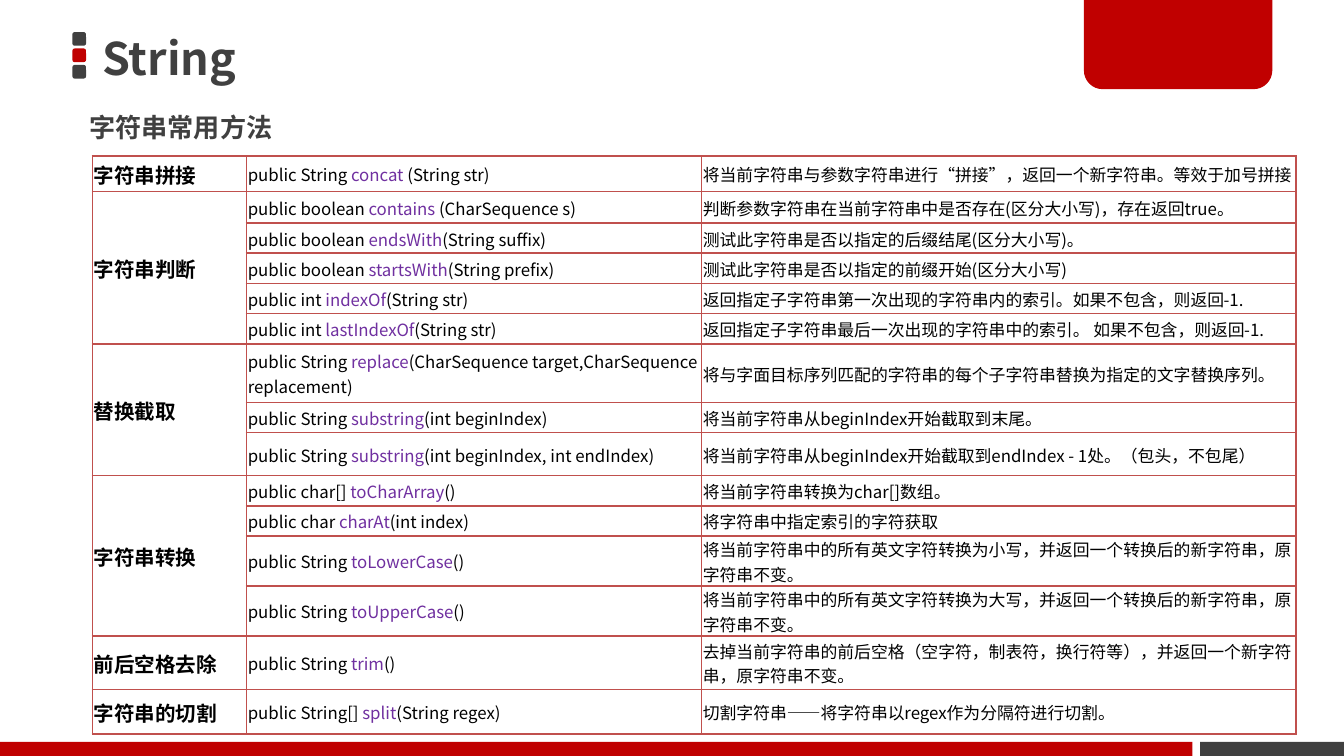
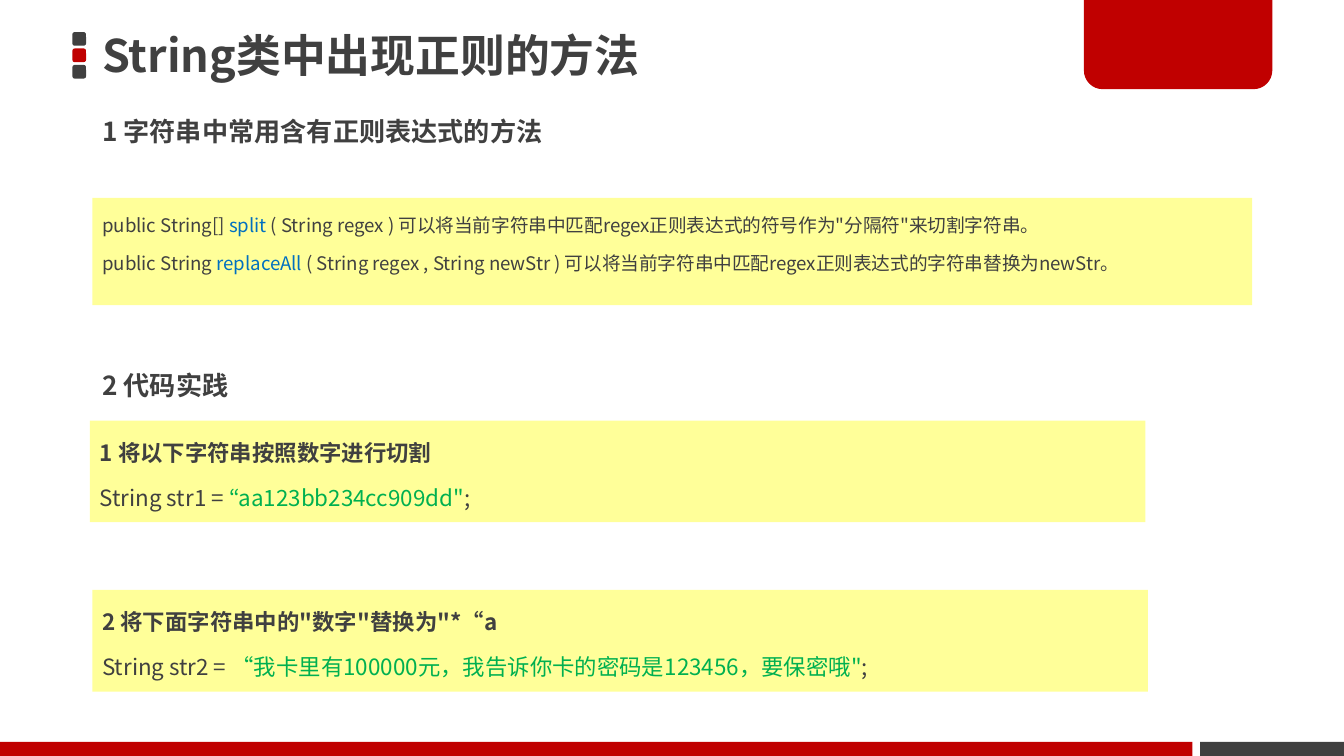
"""Build two slides on the common and the regex-based methods of String."""
from math import cos, pi, sin

from lxml.etree import SubElement
from pptx import Presentation
from pptx.dml.color import RGBColor
from pptx.enum.shapes import MSO_SHAPE as Preset
from pptx.enum.text import MSO_ANCHOR as Anchor
from pptx.oxml import parse_xml
from pptx.oxml.ns import nsdecls, qn
from pptx.util import Pt

FONT = "Noto Sans CJK JP"
DARK, RED, YELLOW, BLACK = "404040", "C00000", "FFFF99", "000000"
PURPLE, BLUE, GREEN, RULE = "7030A0", "0070C0", "00B050", "C0504D"
rgb = RGBColor.from_string


def add_run(paragraph, text, size, color, bold=False):
    run = paragraph.add_run()
    run.text = text
    run.font.size = Pt(size)
    run.font.bold = bold
    run.font.name = FONT
    run.font.color.rgb = rgb(color)
    SubElement(run.font._element, qn("a:ea")).set("typeface", FONT)


def add_text(slide, box, size, lines, fill=None, before=0.2):
    area = slide.shapes.add_textbox(*map(Pt, box))
    frame = area.text_frame
    frame.word_wrap = True
    frame.vertical_anchor = Anchor.TOP if fill else Anchor.MIDDLE
    frame.margin_left = frame.margin_right = Pt(5.3)
    frame.margin_top = frame.margin_bottom = Pt(2.65)
    if fill:
        area.fill.solid()
        area.fill.fore_color.rgb = rgb(fill)
    for i, (bold, runs) in enumerate(lines):
        paragraph = frame.paragraphs[0] if i == 0 else frame.add_paragraph()
        paragraph.space_before = Pt(before * size)
        if fill:
            paragraph.line_spacing = 1.5
        for text, color in runs:
            add_run(paragraph, text, size, color, bold)


prs = Presentation()
prs.slide_width, prs.slide_height = Pt(720), Pt(405)

tab_left, tab_right, tab_bottom, radius = 580.7, 681.6, 47.8, 10
corner_angles = [step * pi / 16 for step in range(9)]
tab_outline = [
    (tab_right - radius + radius * cos(a), tab_bottom - radius + radius * sin(a))
    for a in corner_angles
] + [
    (tab_left + radius - radius * sin(a), tab_bottom - radius + radius * cos(a))
    for a in corner_angles
] + [(tab_left, 0)]

for title, title_top in [("String", 15.8), ("String类中出现正则的方法", 14.3)]:
    slide = prs.slides.add_slide(prs.slide_layouts[6])
    tab = slide.shapes.build_freeform(Pt(tab_right), 0, scale=1)
    tab.add_line_segments([(Pt(x), Pt(y)) for x, y in tab_outline])
    decoration = [(tab.convert_to_shape(), RED)]
    for preset, box, color in [
        (Preset.ROUNDED_RECTANGLE, (38.8, 17.2, 7.3, 7.3), DARK),
        (Preset.ROUNDED_RECTANGLE, (38.8, 26, 7.3, 7.3), RED),
        (Preset.ROUNDED_RECTANGLE, (38.8, 34.8, 7.3, 7.3), DARK),
        (Preset.RECTANGLE, (643, 397.5, 77, 7.5), DARK),
        (Preset.RECTANGLE, (0, 397.5, 638.8, 7.5), RED),
    ]:
        decoration.append((slide.shapes.add_shape(preset, *map(Pt, box)), color))
    for part, color in decoration:
        part.shadow.inherit = False
        part.fill.solid()
        part.fill.fore_color.rgb = rgb(color)
        part.line.fill.background()
    add_text(slide, (49.5, title_top, 518, 30), 24, [(True, [(title, DARK)])], before=0)

methods_slide, regex_slide = prs.slides

add_text(methods_slide, (42.5, 53, 294, 30), 14, [(True, [("字符串常用方法", DARK)])])

method_groups = [
    ("字符串拼接", [
        (19.2, "public String ", "concat", " (String str)",
         "将当前字符串与参数字符串进行“拼接”，返回一个新字符串。等效于加号拼接"),
    ]),
    ("字符串判断", [
        (16.8, "public boolean ", "contains", " (CharSequence s)",
         "判断参数字符串在当前字符串中是否存在(区分大小写)，存在返回true。"),
        (16.2, "public boolean ", "endsWith", "(String suffix)",
         "测试此字符串是否以指定的后缀结尾(区分大小写)。"),
        (16.2, "public boolean ", "startsWith", "(String prefix)",
         "测试此字符串是否以指定的前缀开始(区分大小写)"),
        (16.2, "public int ", "indexOf", "(String str)",
         "返回指定子字符串第一次出现的字符串内的索引。如果不包含，则返回-1."),
        (16.2, "public int ", "lastIndexOf", "(String str)",
         "返回指定子字符串最后一次出现的字符串中的索引。 如果不包含，则返回-1."),
    ]),
    ("替换截取", [
        (31.4, "public String ", "replace", "(CharSequence target,CharSequence replacement)",
         "将与字面目标序列匹配的字符串的每个子字符串替换为指定的文字替换序列。"),
        (16.2, "public String ", "substring", "(int beginIndex)",
         "将当前字符串从beginIndex开始截取到末尾。"),
        (23, "public String ", "substring", "(int beginIndex, int endIndex)",
         "将当前字符串从beginIndex开始截取到endIndex - 1处。（包头，不包尾）"),
    ]),
    ("字符串转换", [
        (16.2, "public char[] ", "toCharArray", "()", "将当前字符串转换为char[]数组。"),
        (16.2, "public char ", "charAt", "(int index)", "将字符串中指定索引的字符获取"),
        (26.8, "public String ", "toLowerCase", "()",
         "将当前字符串中的所有英文字符转换为小写，并返回一个转换后的新字符串，原字符串不变。"),
        (26.8, "public String ", "toUpperCase", "()",
         "将当前字符串中的所有英文字符转换为大写，并返回一个转换后的新字符串，原字符串不变。"),
    ]),
    ("前后空格去除", [
        (28.6, "public String ", "trim", "()",
         "去掉当前字符串的前后空格（空字符，制表符，换行符等），并返回一个新字符串，原字符串不变。"),
    ]),
    ("字符串的切割", [
        (24, "public String[] ", "split", "(String regex)",
         "切割字符串——将字符串以regex作为分隔符进行切割。"),
    ]),
]
row_heights = [method[0] for _, methods in method_groups for method in methods]
column_widths = [82.6, 243.8, 318.6]
overview = methods_slide.shapes.add_table(
    len(row_heights), 3, Pt(49.5), Pt(83.5), Pt(sum(column_widths)), Pt(sum(row_heights))
).table
overview.first_row = overview.horz_banding = False
for column, width in zip(overview.columns, column_widths):
    column.width = Pt(width)
for row, height in zip(overview.rows, row_heights):
    row.height = Pt(height)

for cell in overview.iter_cells():
    cell.fill.background()
    cell.vertical_anchor = Anchor.MIDDLE
    cell.margin_left = cell.margin_right = cell.margin_top = Pt(0.7)
    cell.margin_bottom = 0
    for i, side in enumerate("LRTB"):
        cell._tc.tcPr.insert(i, parse_xml(
            f'<a:ln{side} {nsdecls("a")} w="12700"><a:solidFill>'
            f'<a:srgbClr val="{RULE}"/></a:solidFill></a:ln{side}>'))

row_index = 0
for purpose, methods in method_groups:
    purpose_cell = overview.cell(row_index, 0)
    if len(methods) > 1:
        purpose_cell.merge(overview.cell(row_index + len(methods) - 1, 0))
    add_run(purpose_cell.text_frame.paragraphs[0], purpose, 11, BLACK, True)
    for _, returns, method_name, parameters, meaning in methods:
        signature = overview.cell(row_index, 1).text_frame.paragraphs[0]
        add_run(signature, returns, 9, BLACK)
        add_run(signature, method_name, 9, PURPLE)
        add_run(signature, parameters, 9, BLACK)
        add_run(overview.cell(row_index, 2).text_frame.paragraphs[0], meaning, 9, BLACK)
        row_index += 1

for heading, box in [
    ("1 字符串中常用含有正则表达式的方法", (49.5, 55.3, 294, 30)),
    ("2 代码实践", (49.5, 191.4, 129, 30)),
]:
    add_text(regex_slide, box, 14, [(True, [(heading, DARK)])])

add_text(regex_slide, (49.5, 106, 621.3, 57.5), 10, [
    (False, [("public String[] ", DARK), ("split", BLUE),
             (" ( String regex ) 可以将当前字符串中匹配regex正则表达式的符号作为\"分隔符\"来切割字符串。", DARK)]),
    (False, [("public String ", DARK), ("replaceAll", BLUE),
             (" ( String regex , String newStr ) 可以将当前字符串中匹配regex正则表达式的字符串替换为newStr。", DARK)]),
], YELLOW)

for box, task, variable, value in [
    ((48.2, 225.3, 565.5, 54.5), "1 将以下字符串按照数字进行切割",
     "String str1 = ", "“aa123bb234cc909dd\""),
    ((49.5, 316, 565.5, 54.5), "2 将下面字符串中的\"数字\"替换为\"*“a",
     "String str2 = ", "“我卡里有100000元，我告诉你卡的密码是123456，要保密哦\""),
]:
    add_text(regex_slide, box, 12, [
        (True, [(task, DARK)]),
        (False, [(variable, DARK), (value, GREEN), (";", DARK)]),
    ], YELLOW)

prs.save("out.pptx")
